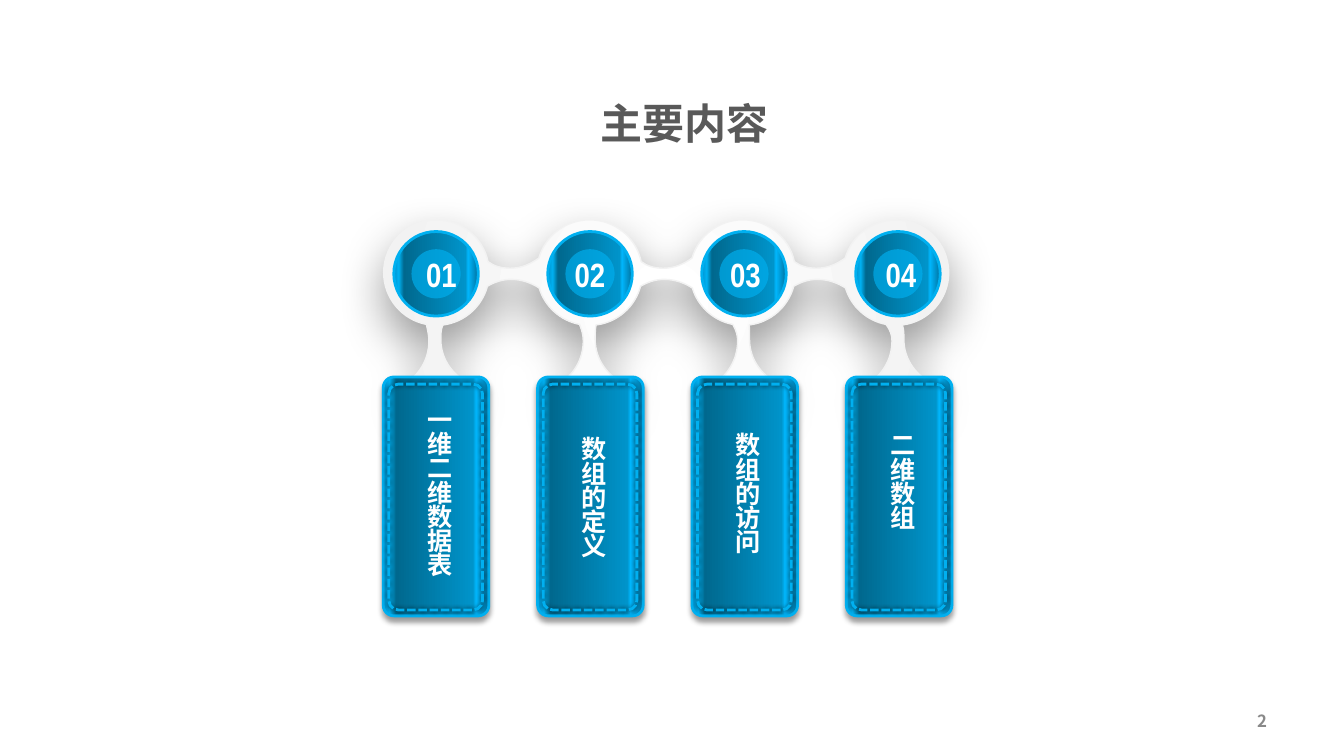
import math
from dataclasses import dataclass

import pptx
import pptx.dml.color
import pptx.enum.dml
import pptx.enum.shapes
import pptx.enum.text
import pptx.oxml
import pptx.oxml.ns
import pptx.util
from pptx.util import Cm

RGBColor = pptx.dml.color.RGBColor
Align = pptx.enum.text.PP_ALIGN
Preset = pptx.enum.shapes.MSO_SHAPE
qn = pptx.oxml.ns.qn
Point = tuple[float, float]

WHITE = RGBColor(0xFF, 0xFF, 0xFF)
PALE = RGBColor(0xF2, 0xF2, 0xF2)
BLUE = RGBColor(0x00, 0xB0, 0xF0)
BLACK = RGBColor(0x00, 0x00, 0x00)
TITLE_GREY = RGBColor(0x59, 0x59, 0x59)
PAGE_GREY = RGBColor(0x89, 0x89, 0x89)
GLOSS = [
    (0, RGBColor(0x00, 0x92, 0xCE)), (6, BLUE),
    (12, RGBColor(0x00, 0x68, 0x8E)), (85, RGBColor(0x00, 0x94, 0xCA)),
    (88, RGBColor(0x00, 0xB6, 0xFC)), (98, RGBColor(0x00, 0x7E, 0xB0)),
]
ACROSS = '<a:lin {ns} ang="0" scaled="0"/>'
FROM_CENTRE = ('<a:path {ns} path="circle">'
               '<a:fillToRect l="50000" t="50000" r="50000" b="50000"/></a:path>')
NARROW = "Arial Narrow"
CJK = "Noto Sans CJK SC"
NAMESPACE = pptx.oxml.ns.nsdecls("a")

# Lengths below are centimetres.
FRAME_X, FRAME_Y, FRAME_PITCH, FRAME_RADIUS = 11.0, 6.87, 3.86, 1.33
RING_X, RING_Y, RING_PITCH = 10.99, 6.9, 3.88
RING_SIZE, DISC_SIZE = 2.13, 1.24
STEM_X, PANEL_PITCH = 10.96, 3.89
TOP_BRIDGE = [(1.45, 6.71), (1.65, 6.76), (1.86, 6.76), (2.14, 6.76), (2.38, 6.65)]
BOTTOM_BRIDGE = [(-1.45, 7.14), (-1.7, 7.04), (-1.98, 7.04), (-2.2, 7.04), (-2.4, 7.11)]
STEM_RIGHT = [(0.15, 8.3), (0.15, 8.43), (0.15, 8.56), (0.15, 9.07), (0.48, 9.5), (0.94, 9.7)]
STEM_FOOT = [(0.94, 9.7), (-0.79, 9.7), (-0.79, 9.7)]
STEM_LEFT = [(-0.41, 9.47), (-0.15, 9.07), (-0.15, 8.59), (-0.15, 8.46), (-0.18, 8.33)]


@dataclass
class Box:
    left: float
    top: float
    width: float
    height: float

    def lengths(self) -> list[Cm]:
        return [Cm(self.left), Cm(self.top), Cm(self.width), Cm(self.height)]


@dataclass
class Shadow:
    opacity: int
    blur: float
    distance: float


@dataclass
class Topic:
    number: str
    number_left: float
    name: str
    name_box: Box


TOPICS = [
    Topic("01", 10.49, "一维二维数据表", Box(10.52, 10.21, 0.89, 4.57)),
    Topic("02", 14.23, "数组的定义", Box(14.4, 10.95, 0.89, 3.33)),
    Topic("03", 18.15, "数组的访问", Box(18.28, 10.85, 0.89, 3.33)),
    Topic("04", 22.07, "二维数组", Box(22.19, 10.85, 0.89, 2.72)),
]
LAST = len(TOPICS) - 1


def set_gradient(shape, stops: list, direction: str) -> None:
    shape.fill.gradient()
    gradient = shape.element.spPr.find(qn("a:gradFill"))
    for child in list(gradient):
        gradient.remove(child)
    entries = "".join(f'<a:gs pos="{position * 1000}"><a:srgbClr val="{color}"/></a:gs>'
                      for position, color in stops)
    gradient.append(pptx.oxml.parse_xml(f"<a:gsLst {NAMESPACE}>{entries}</a:gsLst>"))
    gradient.append(pptx.oxml.parse_xml(direction.format(ns=NAMESPACE)))


def set_outline(shape, color: RGBColor, width: float) -> None:
    shape.line.color.rgb = color
    shape.line.width = pptx.util.Pt(width)


def set_shadow(shape, shadow: Shadow) -> None:
    """Cast a black shadow straight down."""
    effects = shape.element.spPr.find(qn("a:effectLst"))
    effects.append(pptx.oxml.parse_xml(
        f'<a:outerShdw {NAMESPACE} blurRad="{pptx.util.Pt(shadow.blur)}" '
        f'dist="{pptx.util.Pt(shadow.distance)}" dir="5400000" algn="t" rotWithShape="0">'
        f'<a:srgbClr val="{BLACK}"><a:alpha val="{shadow.opacity * 1000}"/></a:srgbClr>'
        "</a:outerShdw>"))


def add_preset(page, preset, box: Box):
    shape = page.shapes.add_shape(preset, *box.lengths())
    shape.shadow.inherit = False
    return shape


def add_text(page, text: str, box: Box, size: int, color: RGBColor, font: str,
             align, spacing: float = 1.0):
    frame = page.shapes.add_textbox(*box.lengths()).text_frame
    frame.word_wrap = True
    frame.text = text
    para = frame.paragraphs[0]
    para.alignment = align
    para.line_spacing = spacing
    span = para.runs[0]
    span.font.size = pptx.util.Pt(size)
    span.font.bold = True
    span.font.color.rgb = color
    span.font.name = font
    east_asian = pptx.oxml.parse_xml(f'<a:ea {NAMESPACE} typeface="{CJK}"/>')
    span._r.get_or_add_rPr().append(east_asian)
    return frame


def ring_point(index: int, degrees: float, reach: float = 0) -> Point:
    """Point on a frame ring, clockwise from the right, moved along the tangent by reach."""
    cosine, sine = math.cos(math.radians(degrees)), math.sin(math.radians(degrees))
    return (FRAME_X + index * FRAME_PITCH + FRAME_RADIUS * (cosine - reach * sine),
            FRAME_Y + FRAME_RADIUS * (sine + reach * cosine))


def ring_arc(index: int, *stops: float) -> list[Point]:
    """Curve points through the given angles, without the first one."""
    points = []
    for start, end in zip(stops, stops[1:]):
        reach = 4 / 3 * math.tan(math.radians(end - start) / 4)
        points += [ring_point(index, start, reach), ring_point(index, end, -reach),
                   ring_point(index, end)]
    return points


def shifted(offsets: list[Point], origin: float) -> list[Point]:
    return [(origin + x, y) for x, y in offsets]


def frame_outline() -> list[Point]:
    """Start point, then two control points and an end point for each curve."""
    points = [ring_point(0, 180)]
    for index in range(LAST + 1):
        points += ring_arc(index, 196 if index else 180, 270, 348 if index < LAST else 360)
        if index < LAST:
            points += shifted(TOP_BRIDGE, FRAME_X + index * FRAME_PITCH)
            points.append(ring_point(index + 1, 196))
    for index in range(LAST, -1, -1):
        stem = STEM_X + index * PANEL_PITCH
        points += ring_arc(index, 15 if index < LAST else 0, 83)
        points += shifted(STEM_RIGHT + STEM_FOOT + STEM_LEFT, stem)
        points.append(ring_point(index, 101))
        points += ring_arc(index, 101, 163 if index else 180)
        if index:
            points += shifted(BOTTOM_BRIDGE, FRAME_X + index * FRAME_PITCH)
            points.append(ring_point(index - 1, 15))
    return points


def curve_outline(shape) -> None:
    """Turn each three line segments into one cubic curve."""
    outline = shape.element.spPr.find(".//" + qn("a:path"))
    lines = outline.findall(qn("a:lnTo"))
    for first in range(0, len(lines), 3):
        curve = pptx.oxml.parse_xml(f"<a:cubicBezTo {NAMESPACE}/>")
        lines[first].addprevious(curve)
        for line in lines[first:first + 3]:
            curve.append(line[0])
            outline.remove(line)


def add_frame(page) -> None:
    start, *rest = [(Cm(x), Cm(y)) for x, y in frame_outline()]
    builder = page.shapes.build_freeform(*start)
    builder.add_line_segments(rest, close=True)
    frame = builder.convert_to_shape()
    curve_outline(frame)
    frame.shadow.inherit = False
    set_gradient(frame, [(0, WHITE), (100, PALE)], FROM_CENTRE)
    set_outline(frame, PALE, 1)
    set_shadow(frame, Shadow(40, 34, 14))


def add_panel(page, index: int) -> None:
    shift = index * PANEL_PITCH
    panel = add_preset(page, Preset.ROUNDED_RECTANGLE, Box(9.66 + shift, 9.5, 2.66, 6.02))
    set_gradient(panel, GLOSS, ACROSS)
    set_shadow(panel, Shadow(40, 4, 3))
    stitch = add_preset(page, Preset.ROUNDED_RECTANGLE, Box(9.8 + shift, 9.68, 2.36, 5.69))
    stitch.fill.background()
    set_shadow(stitch, Shadow(80, 4, 0))
    for shape in (panel, stitch):
        shape.adjustments[0] = 0.1
        set_outline(shape, BLUE, 2)
    stitch.line.dash_style = pptx.enum.dml.MSO_LINE.SQUARE_DOT


def add_circle(page, index: int, size: float):
    centre = RING_X + index * RING_PITCH
    return add_preset(page, Preset.OVAL, Box(centre - size / 2, RING_Y - size / 2, size, size))


def add_badge(page, index: int) -> None:
    ring = add_circle(page, index, RING_SIZE)
    set_gradient(ring, GLOSS, ACROSS)
    set_outline(ring, BLUE, 2)
    disc = add_circle(page, index, DISC_SIZE)
    disc.fill.solid()
    disc.fill.fore_color.rgb = BLUE
    color = disc.element.spPr.find(".//" + qn("a:srgbClr"))
    color.append(pptx.oxml.parse_xml(f'<a:alpha {NAMESPACE} val="66000"/>'))
    disc.line.fill.background()


def main() -> None:
    deck = pptx.Presentation()
    deck.slide_width, deck.slide_height = Cm(33.87), Cm(19.05)
    page = deck.slides.add_slide(deck.slide_layouts[6])
    add_frame(page)
    for index, topic in enumerate(TOPICS):
        add_panel(page, index)
        add_badge(page, index)
        add_text(page, topic.number, Box(topic.number_left, 6.48, 1.35, 1.07),
                 24, WHITE, NARROW, Align.LEFT, 0.8)
        add_text(page, topic.name, topic.name_box, 18, WHITE, CJK, Align.CENTER, 0.8)
    add_text(page, "主要内容", Box(11.33, 1.96, 11.84, 1.93),
             30, TITLE_GREY, NARROW, Align.CENTER, 1.3)
    number = add_text(page, "2", Box(24.28, 17.65, 7.9, 1.02), 12, PAGE_GREY, CJK, Align.RIGHT)
    number.vertical_anchor = pptx.enum.text.MSO_ANCHOR.MIDDLE
    deck.save("out.pptx")


if __name__ == "__main__":
    main()
